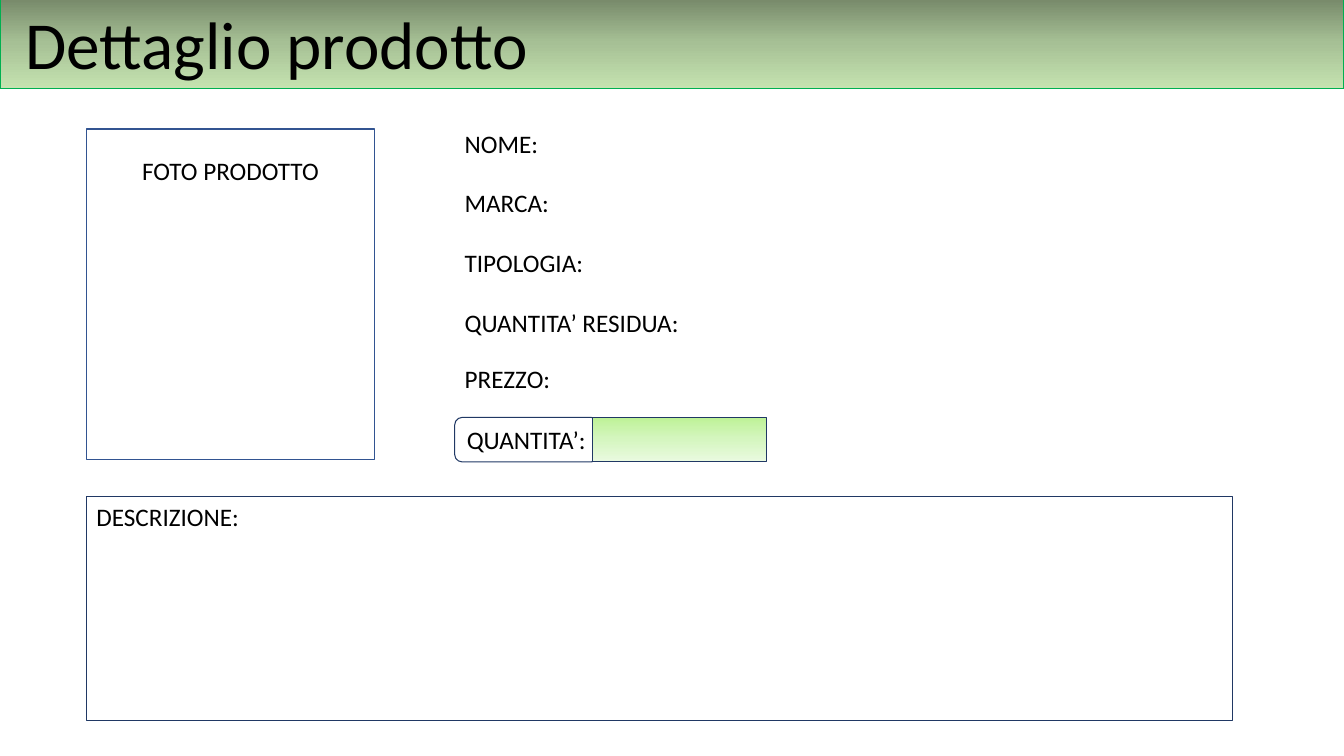
from dataclasses import dataclass
from typing import Optional

from lxml import etree
from pptx import Presentation
from pptx.dml.color import RGBColor
from pptx.enum import shapes, text
from pptx.oxml import ns
from pptx.util import Cm, Pt

BLACK = RGBColor(0x00, 0x00, 0x00)
WHITE = RGBColor(0xFF, 0xFF, 0xFF)
BLUE = RGBColor(0x32, 0x54, 0x91)
NAVY = RGBColor(0x20, 0x38, 0x64)
GREEN = RGBColor(0x00, 0xB0, 0x50)
BANNER_GREENS = (RGBColor(0x75, 0x87, 0x68), RGBColor(0xA6, 0xC0, 0x95),
                 RGBColor(0xC5, 0xE3, 0xB0))
INPUT_GREENS = (RGBColor(0xBE, 0xF2, 0x97), RGBColor(0xD5, 0xF6, 0xC0),
                RGBColor(0xEA, 0xFA, 0xE0))

PHOTO_LEFT, FIELD_LEFT = 2.18, 11.46
QUANTITY_TOP, QUANTITY_HEIGHT = 10.52, 1.12


@dataclass
class Area:
    """Position and size in centimetres."""
    left: float
    top: float
    width: float
    height: float

    def lengths(self) -> tuple:
        return tuple(map(Cm, (self.left, self.top, self.width, self.height)))


@dataclass
class Frame:
    area: Area
    line: RGBColor = NAVY
    line_width: float = 0.75
    kind: int = shapes.MSO_SHAPE.RECTANGLE
    label: str = ""
    gradient: Optional[tuple] = None


@dataclass
class Caption:
    area: Area
    lines: tuple


def fill_gradient(shape, colours: tuple) -> None:
    """Spread the colours evenly from top to bottom."""
    shape.fill.gradient()
    shape.fill.gradient_angle = 270
    stops = shape.element.spPr.find(".//" + ns.qn("a:gsLst"))
    for stop in list(stops):
        stops.remove(stop)
    for index, colour in enumerate(colours):
        position = index * 100000 // (len(colours) - 1)
        stop = etree.SubElement(stops, ns.qn("a:gs"), pos=str(position))
        etree.SubElement(stop, ns.qn("a:srgbClr"), val=str(colour))


def write_lines(shape, lines: tuple, size: float = 18, **frame_format) -> None:
    frame = shape.text_frame
    settings = {"word_wrap": True, "auto_size": text.MSO_AUTO_SIZE.NONE,
                "vertical_anchor": text.MSO_ANCHOR.TOP, "margin_right": 0}
    for name, value in (settings | frame_format).items():
        setattr(frame, name, value)
    for index, line in enumerate(lines):
        paragraph = frame.add_paragraph() if index else frame.paragraphs[0]
        paragraph.text = line
        paragraph.alignment = text.PP_ALIGN.LEFT
        paragraph.space_before = Pt(21 if index else 0)
        for name, value in {"name": "Calibri", "size": Pt(size)}.items():
            setattr(paragraph.font, name, value)
        paragraph.font.color.rgb = BLACK


def set_outline(shape, colour: RGBColor, width: float) -> None:
    shape.line.color.rgb = colour
    shape.line.width = Pt(width)


def draw_frame(slide, frame: Frame) -> None:
    shape = slide.shapes.add_shape(frame.kind, *frame.area.lengths())
    shape.shadow.inherit = False
    set_outline(shape, frame.line, frame.line_width)
    if frame.gradient:
        fill_gradient(shape, frame.gradient)
    else:
        shape.fill.solid()
        shape.fill.fore_color.rgb = WHITE
    if frame.label:
        write_lines(shape, (frame.label,))


def draw_caption(slide, caption: Caption) -> None:
    box = slide.shapes.add_textbox(*caption.area.lengths())
    write_lines(box, caption.lines)


def draw_banner(slide, heading: str) -> None:
    banner = slide.shapes.title
    edges = Area(0, -0.08, 33.87, 2.31).lengths()
    for name, value in zip(("left", "top", "width", "height"), edges):
        setattr(banner, name, value)
    fill_gradient(banner, BANNER_GREENS)
    set_outline(banner, GREEN, 1)
    write_lines(banner, (heading,), size=48, margin_left=Cm(0.64),
                vertical_anchor=text.MSO_ANCHOR.MIDDLE)


FRAMES = (
    # Product photo
    Frame(Area(PHOTO_LEFT, 3.25, 7.26, 8.33), BLUE, 1),
    # Quantity label and its input
    Frame(Area(FIELD_LEFT, QUANTITY_TOP, 3.63, QUANTITY_HEIGHT),
          kind=shapes.MSO_SHAPE.ROUNDED_RECTANGLE, label="QUANTITA’:"),
    Frame(Area(14.94, QUANTITY_TOP, 4.37, QUANTITY_HEIGHT),
          gradient=INPUT_GREENS),
    # Description
    Frame(Area(PHOTO_LEFT, 12.52, 28.88, 5.64), label="DESCRIZIONE:"),
)
CAPTIONS = (
    Caption(Area(3.33, 3.78, 5.16, 1.02), ("FOTO PRODOTTO",)),
    Caption(Area(FIELD_LEFT, 3.1, 13.16, 9.5),
            ("NOME:", "MARCA:", "TIPOLOGIA:", "QUANTITA’ RESIDUA:")),
    Caption(Area(FIELD_LEFT, 9.02, 6.58, 1.02), ("PREZZO:",)),
)


def main() -> None:
    deck = Presentation()
    deck.slide_width, deck.slide_height = Cm(33.87), Cm(19.05)
    slide = deck.slides.add_slide(deck.slide_layouts.get_by_name("Title Only"))
    draw_banner(slide, "Dettaglio prodotto")
    for frame in FRAMES:
        draw_frame(slide, frame)
    for caption in CAPTIONS:
        draw_caption(slide, caption)
    deck.save("out.pptx")


if __name__ == "__main__":
    main()
